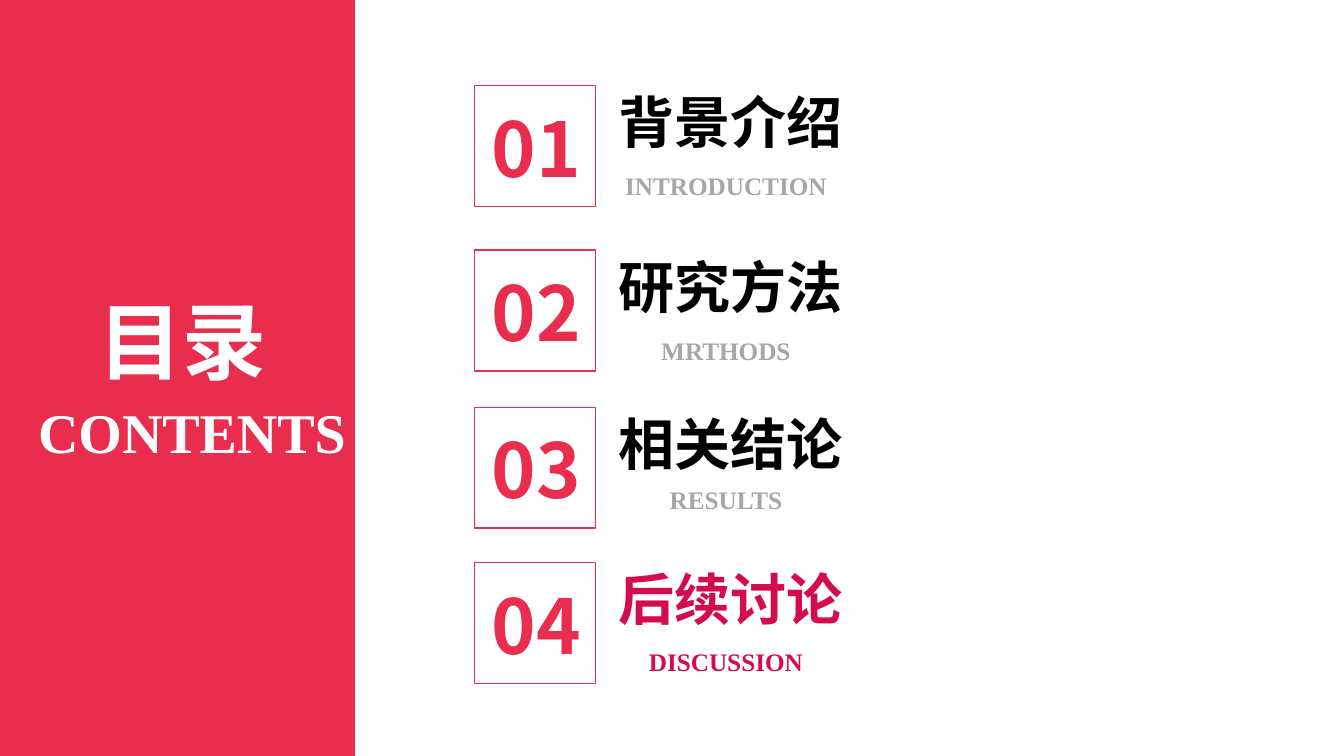
import dataclasses

import lxml.etree
import pptx
import pptx.dml.color
import pptx.enum.shapes
import pptx.enum.text
import pptx.oxml.ns
import pptx.util

ALIGN = pptx.enum.text.PP_ALIGN
RECTANGLE = pptx.enum.shapes.MSO_SHAPE.RECTANGLE


@dataclasses.dataclass(frozen=True)
class Theme:
    red: str = "E92D4E"
    current: str = "D30C50"
    black: str = "000000"
    grey: str = "A6A6A6"
    white: str = "FFFFFF"
    chinese: str = "Noto Sans CJK SC"
    english: str = "Times New Roman"
    title: int = 60
    number: int = 54
    heading: int = 40
    caption: int = 18


theme = Theme()
deck = pptx.Presentation()
deck.slide_width = pptx.util.Inches(13.33)
deck.slide_height = pptx.util.Inches(7.5)
page = deck.slides.add_slide(deck.slide_layouts.get_by_name("Title Only"))


def share(left, top, width, height):
    across, down = deck.slide_width / 100, deck.slide_height / 100
    return int(left * across), int(top * down), int(width * across), int(height * down)


def write(box, text, size, font, color, align):
    frame = box.text_frame
    frame.word_wrap = True
    frame.auto_size = pptx.enum.text.MSO_AUTO_SIZE.NONE
    frame.vertical_anchor = pptx.enum.text.MSO_ANCHOR.MIDDLE
    para = frame.paragraphs[0]
    para.alignment = align
    span = para.add_run()
    span.text = text
    span.font.size = pptx.util.Pt(size)
    span.font.bold = True
    span.font.name = font
    span.font.color.rgb = pptx.dml.color.RGBColor.from_string(color)
    properties = span._r.get_or_add_rPr()
    lxml.etree.SubElement(properties, pptx.oxml.ns.qn("a:ea"), typeface=font)


title = page.shapes.title
title.left, title.top, title.width, title.height = share(5.93, 37.5, 14.63, 14.8)
write(title, "目录", theme.title, theme.chinese, theme.white, ALIGN.RIGHT)

panel = page.shapes.add_shape(RECTANGLE, *share(0, 0, 26.4, 100))
panel.shadow.inherit = False
panel.fill.solid()
panel.fill.fore_color.rgb = pptx.dml.color.RGBColor.from_string(theme.red)
panel.line.fill.background()
title.element.addprevious(panel.element)

contents = page.shapes.add_textbox(*share(0, 51.87, 26.48, 10.27))
write(contents, "CONTENTS", theme.heading, theme.english, theme.white, ALIGN.RIGHT)

chapters = [
    ("背景介绍", "INTRODUCTION", 11.33, 10.53, theme.black, theme.grey),
    ("研究方法", "MRTHODS", 33.07, 10.67, theme.black, theme.grey),
    ("相关结论", "RESULTS", 53.87, 9.47, theme.black, theme.grey),
    ("后续讨论", "DISCUSSION", 74.4, 10.4, theme.current, theme.current),
]
for index, (heading, caption, top, drop, heading_color, caption_color) in enumerate(chapters, 1):
    heading_box = page.shapes.add_textbox(*share(45.3, top - 0.4, 19.13, 10.27))
    write(heading_box, heading, theme.heading, theme.chinese, heading_color, ALIGN.LEFT)

    caption_box = page.shapes.add_textbox(*share(44.64, top + drop, 18.75, 5.33))
    write(caption_box, caption, theme.caption, theme.english, caption_color, ALIGN.CENTER)

    number_box = page.shapes.add_textbox(*share(35.4, top + 1.4, 9, 13.47))
    write(number_box, f"{index:02d}", theme.number, theme.chinese, theme.red, ALIGN.CENTER)

    square = page.shapes.add_shape(RECTANGLE, *share(35.3, top, 9, 16))
    square.shadow.inherit = False
    square.fill.background()
    square.line.color.rgb = pptx.dml.color.RGBColor.from_string(theme.red)
    square.line.width = pptx.util.Pt(1)

deck.save("out.pptx")
